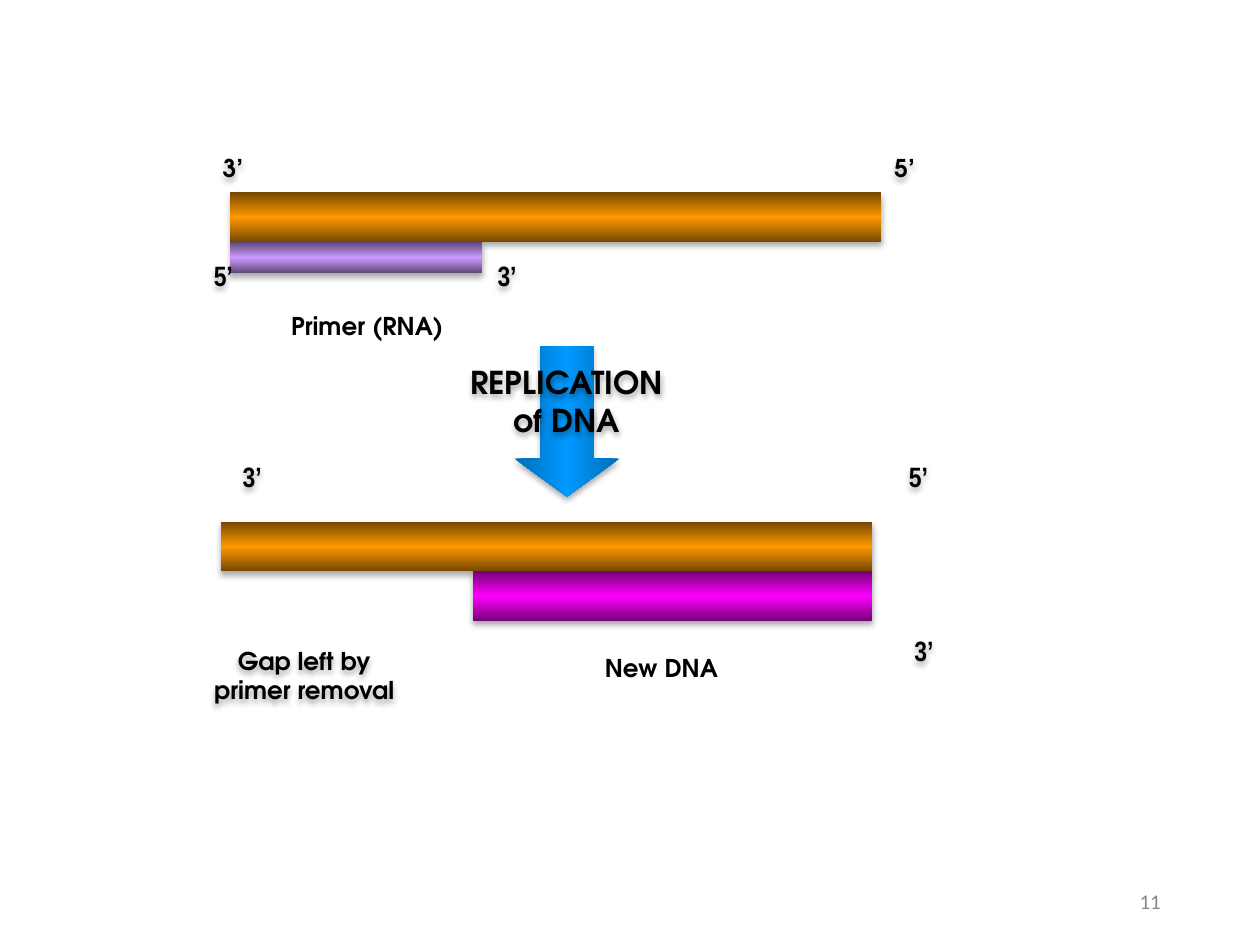
import copy
import dataclasses

import lxml.etree
import pptx
import pptx.dml.color
import pptx.enum.dml
import pptx.enum.shapes
import pptx.enum.text
import pptx.oxml.ns
import pptx.util

Cm = pptx.util.Cm
qn = pptx.oxml.ns.qn
SHAPE = pptx.enum.shapes.MSO_SHAPE
ALIGN = pptx.enum.text.PP_ALIGN
ANCHOR = pptx.enum.text.MSO_ANCHOR


@dataclasses.dataclass(frozen=True)
class Theme:
    heading_font: str = "TeX Gyre Adventor"
    end_font: str = "Arial Narrow"
    number_font: str = "Calibri"
    text: str = "000000"
    number: str = "898989"
    paper: str = "FFFFFF"
    template: tuple = ("764700", "FF9900")
    primer: tuple = ("5E4776", "CC99FF")
    new_strand: tuple = ("760076", "FF00FF")
    arrow: tuple = ("006DB6", "0099FF")
    number_size: int = 12
    label_size: int = 14
    end_size: int = 16
    title_size: int = 18


THEME = Theme()
LABEL = {"name": THEME.heading_font, "size": THEME.label_size, "bold": True}
TITLE = {**LABEL, "size": THEME.title_size}
END = {"name": THEME.end_font, "size": THEME.end_size, "bold": True}
NUMBER = {"name": THEME.number_font, "size": THEME.number_size, "bold": False}

BAR_WIDTH = 13.13
BAR_HEIGHT = 1.0
END_WIDTH = 1.27


def color(value):
    return pptx.dml.color.RGBColor.from_string(value)


def box(left, top, width, height):
    return [Cm(value) for value in (left, top, width, height)]


def add_shadow(shape):
    shape.shadow.inherit = False
    effects = shape._element.spPr.find(qn("a:effectLst"))
    shadow = lxml.etree.SubElement(
        effects, qn("a:outerShdw"),
        blurRad="44450", dist="27940", dir="5400000", rotWithShape="0")
    shade = lxml.etree.SubElement(shadow, qn("a:srgbClr"), val="000000")
    lxml.etree.SubElement(shade, qn("a:alpha"), val="32000")


def write(shape, text, style, align, ink=THEME.text):
    frame = shape.text_frame
    frame.word_wrap = True
    frame.vertical_anchor = ANCHOR.TOP
    paragraph = frame.paragraphs[0]
    paragraph.alignment = align
    run = paragraph.add_run()
    run.text = text
    for name, value in {**style, "size": pptx.util.Pt(style["size"])}.items():
        setattr(run.font, name, value)
    run.font.color.rgb = color(ink)


def add_gradient_shape(shapes, kind, place, colors, angle=90):
    edge, middle = colors
    shape = shapes.add_shape(kind, *box(*place))
    shape.line.fill.background()
    shape.fill.gradient()
    shape.fill.gradient_angle = angle
    first, last = shape.fill.gradient_stops
    for stop, value, position in ((first, edge, 0), (last, middle, 0.5)):
        stop.color.rgb = color(value)
        stop.position = position
    stops = shape._element.spPr.find(".//" + qn("a:gsLst"))
    stops.append(copy.deepcopy(stops[0]))
    stops[-1].set("pos", "100000")
    add_shadow(shape)
    return shape


def add_text(shapes, text, place, style, align=ALIGN.CENTER):
    shape = shapes.add_textbox(*box(*place))
    write(shape, text, style, align)
    add_shadow(shape)


def add_end(shapes, text, left, top, style=END, align=ALIGN.LEFT):
    add_text(shapes, text, (left, top, END_WIDTH, 1), style, align)


def add_caption(shapes, text, left, top):
    shape = shapes.add_shape(SHAPE.RECTANGLE, *box(left, top, 4.23, 1))
    shape.shadow.inherit = False
    shape.fill.solid()
    shape.fill.fore_color.rgb = color(THEME.paper)
    shape.line.fill.background()
    write(shape, text, LABEL, ALIGN.CENTER)


def add_slide_number(shapes, text):
    shape = shapes.add_textbox(*box(17.93, 17.65, 5.72, 1.02))
    write(shape, text, NUMBER, ALIGN.RIGHT, THEME.number)
    shape.text_frame.vertical_anchor = ANCHOR.MIDDLE


def add_primed_strand(shapes):
    left, top = 4.64, 3.88
    add_gradient_shape(shapes, SHAPE.RECTANGLE, (left, top, BAR_WIDTH, BAR_HEIGHT), THEME.template)
    add_gradient_shape(shapes, SHAPE.RECTANGLE, (left, top + BAR_HEIGHT, 5.08, 0.63), THEME.primer)
    add_end(shapes, "5’", 4.06, 5.08)
    add_end(shapes, "3’", 9.78, 5.08)
    add_caption(shapes, "Primer (RNA)", 5.29, 6.15)


def add_replication_step(shapes):
    arrow = add_gradient_shape(shapes, SHAPE.DOWN_ARROW, (10.37, 6.98, 2.12, 3.03), THEME.arrow, 0)
    arrow.adjustments[0] = 0.5
    arrow.adjustments[1] = 0.36
    add_end(shapes, "5’", 17.78, 2.97, LABEL)
    add_end(shapes, "3’", 4.24, 2.97, LABEL)
    add_text(shapes, "REPLICATION of DNA", (9.1, 7.19, 4.65, 2), TITLE)


def add_replicated_strand(shapes):
    left, top, gap = 4.45, 10.52, 5.08
    add_gradient_shape(shapes, SHAPE.RECTANGLE, (left, top, BAR_WIDTH, BAR_HEIGHT), THEME.template)
    add_gradient_shape(
        shapes, SHAPE.RECTANGLE,
        (left + gap, top + BAR_HEIGHT, BAR_WIDTH - gap, BAR_HEIGHT), THEME.new_strand)
    add_text(shapes, "Gap left by primer removal", (3.81, 12.9, 4.65, 2), LABEL)
    add_caption(shapes, "New DNA", 11.22, 13.03)
    for text, end_left, end_top in (("3’", 4.45, 9.13), ("5’", 17.88, 9.13), ("3’", 17.99, 12.65)):
        add_end(shapes, text, end_left, end_top, align=ALIGN.CENTER)


def main():
    presentation = pptx.Presentation()
    presentation.slide_width = Cm(25.4)
    presentation.slide_height = Cm(19.05)
    slide = presentation.slides.add_slide(presentation.slide_layouts[6])
    add_slide_number(slide.shapes, "11")
    add_primed_strand(slide.shapes)
    add_replication_step(slide.shapes)
    add_replicated_strand(slide.shapes.add_group_shape().shapes)
    presentation.save("out.pptx")


if __name__ == "__main__":
    main()
